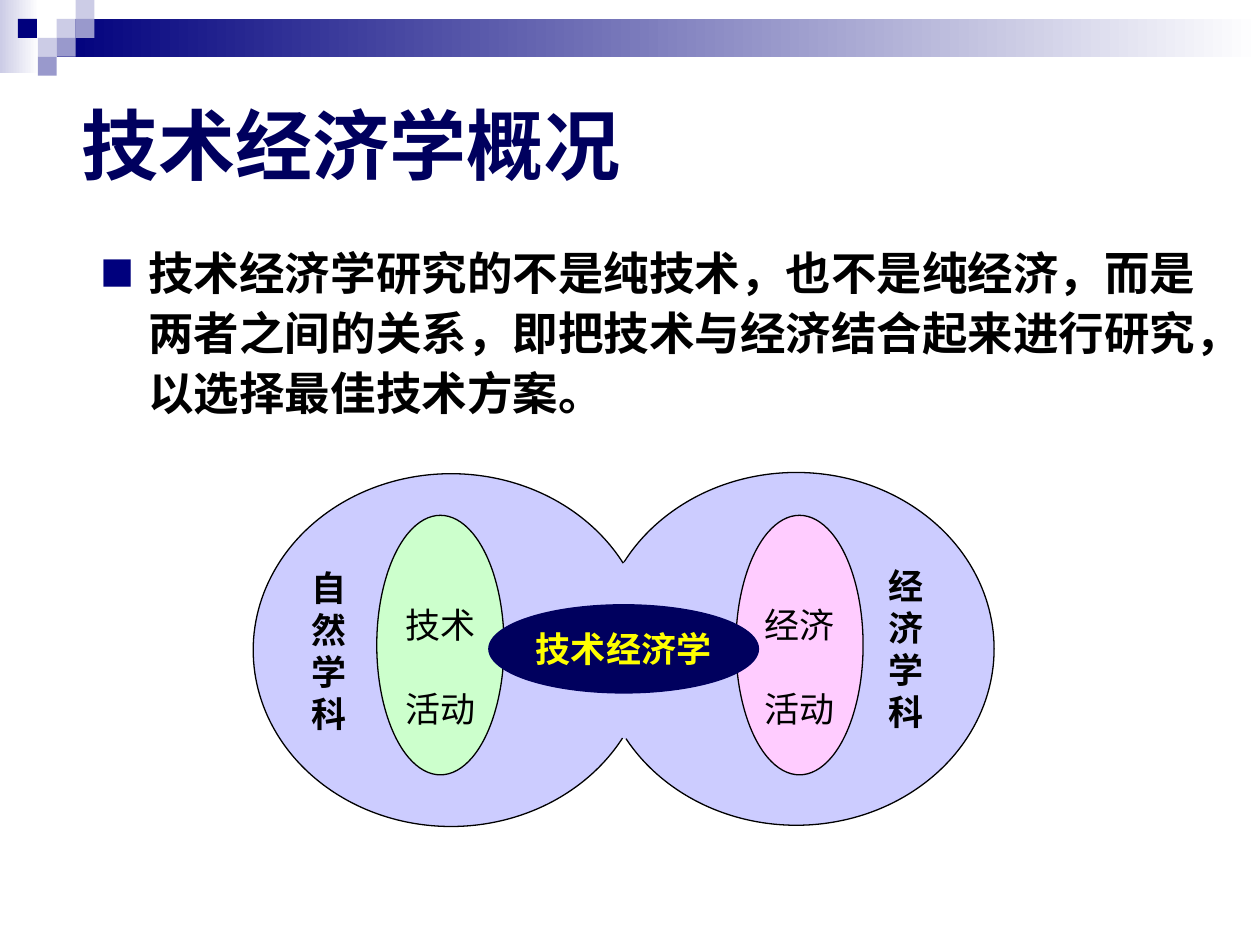
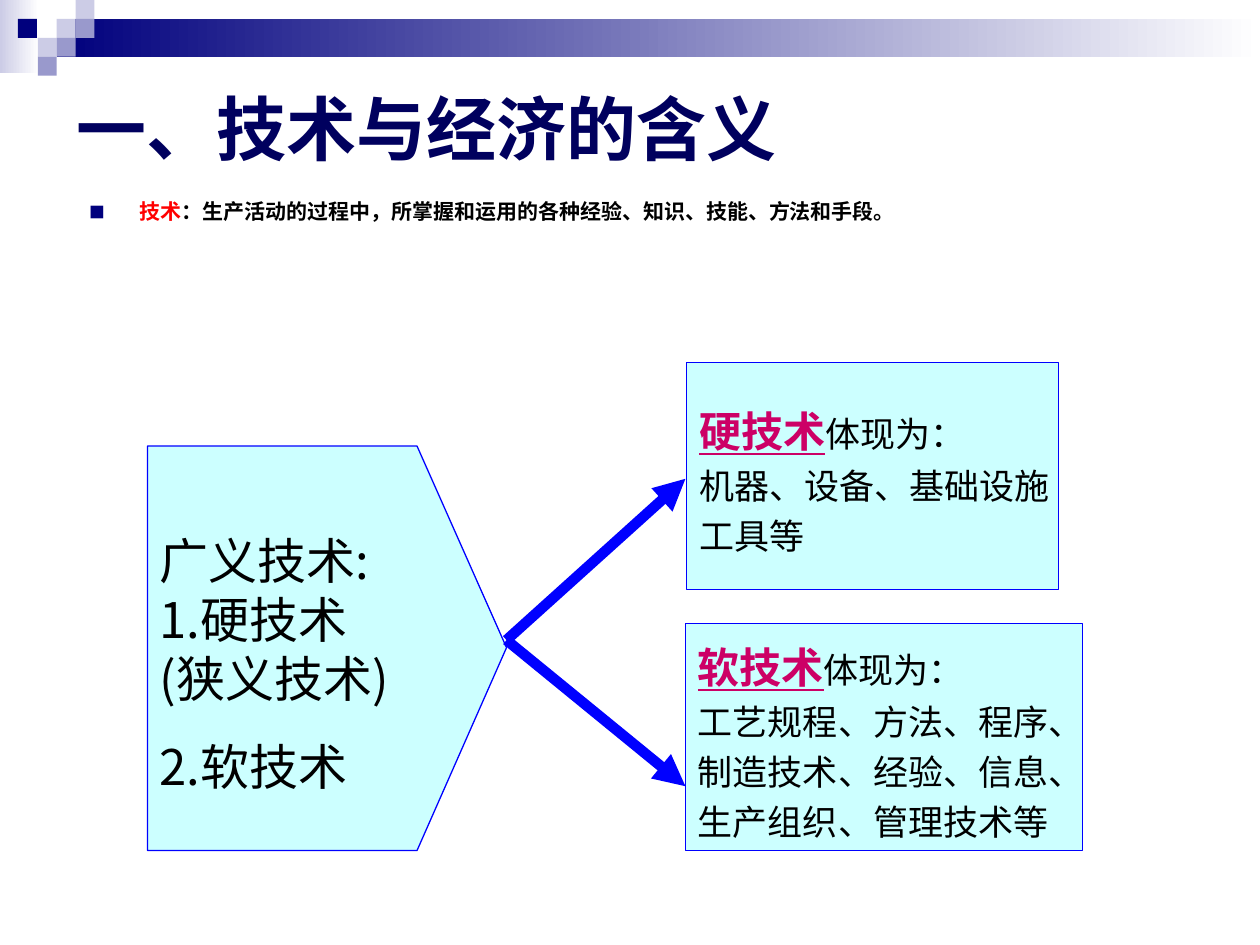
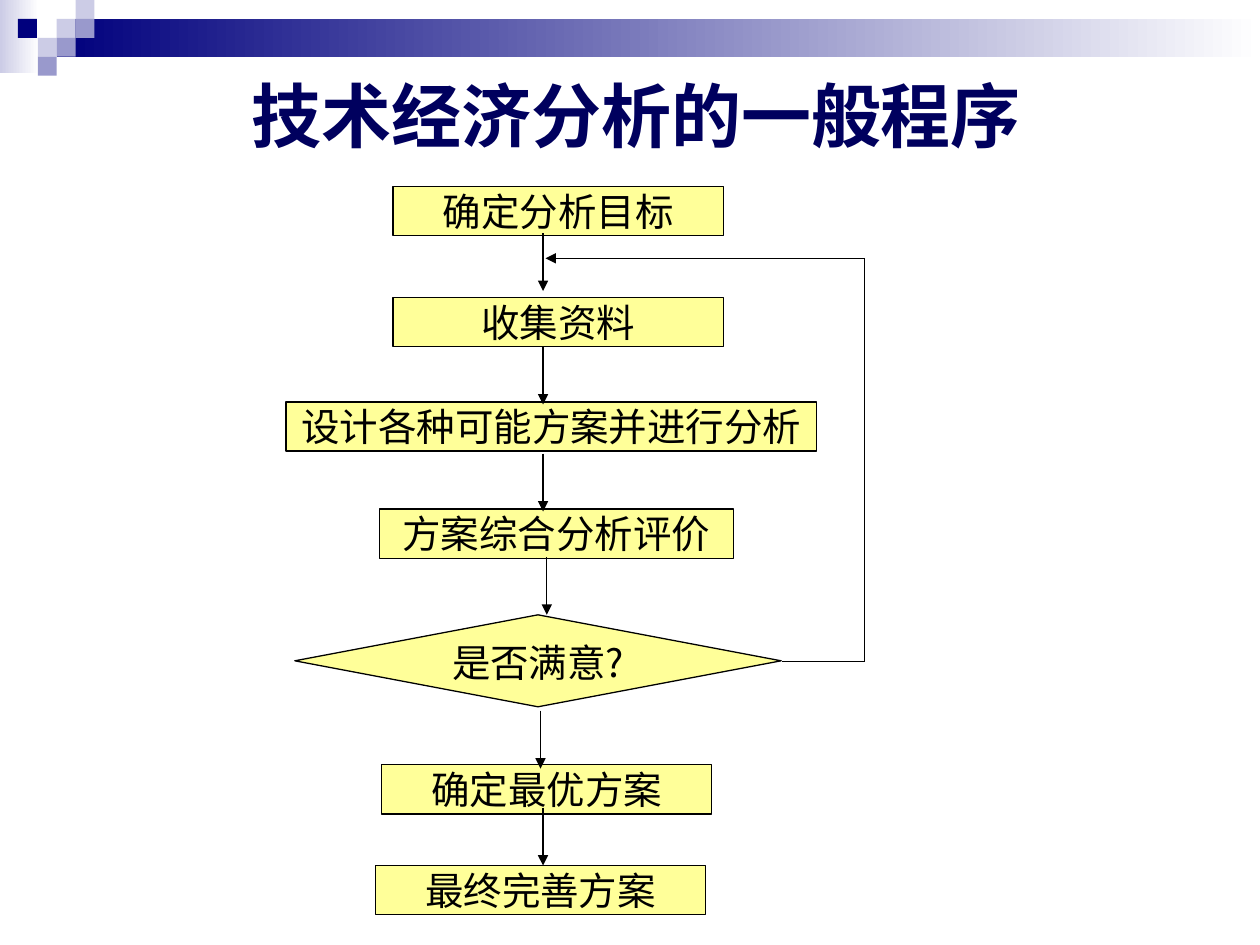
import lxml.etree
import pptx
import pptx.dml.color
import pptx.enum.dml
import pptx.enum.lang
import pptx.enum.shapes
import pptx.enum.text
import pptx.oxml.ns
import pptx.util
from dataclasses import dataclass

Pt = pptx.util.Pt
Shape = pptx.enum.shapes.MSO_SHAPE
Align = pptx.enum.text.PP_ALIGN
Anchor = pptx.enum.text.MSO_ANCHOR
qn = pptx.oxml.ns.qn

COLORS = {
    "navy": "00007D", "ink": "00005E", "haze": "CCCCE6", "slate": "9999CC",
    "white": "FFFFFF", "black": "000000", "lilac": "CCCCFF", "mint": "CCFFCC",
    "pink": "FFCCFF", "yellow": "FFFF00", "cream": "FFFF99", "aqua": "CCFFFF",
    "blue": "0000FF", "red": "FF0000", "magenta": "CC0066",
}
SANS, SERIF, CJK = "Arial", "Times New Roman", "Noto Sans CJK SC"

# The slide is a grid of 10 columns by 7.5 rows.
WIDTH, HEIGHT = pptx.util.Inches(10), pptx.util.Inches(7.5)
COL, ROW = WIDTH / 10, HEIGHT / 7.5


@dataclass
class Region:
    """A corner on the grid; parts are placed in columns and rows from it."""
    slide: object
    left: float
    top: float

    def point(self, x, y):
        return round((self.left + x) * COL), round((self.top + y) * ROW)

    def area(self, x, y, w, h):
        return (*self.point(x, y), round(w * COL), round(h * ROW))


def rgb(name):
    return pptx.dml.color.RGBColor.from_string(COLORS[name])


def add_xml(parent, tag, **attributes):
    return lxml.etree.SubElement(parent, qn(tag), attributes)


def set_all(target, values):
    for key, value in values.items():
        setattr(target, key, value)


def format_run(run, color="black", face=CJK, **values):
    set_all(run.font, {
        "name": face,
        "language_id": pptx.enum.lang.MSO_LANGUAGE_ID.SIMPLIFIED_CHINESE,
        **values})
    run.font.color.rgb = rgb(color)
    add_xml(run._r.get_or_add_rPr(), "a:ea", typeface=CJK)


def write(shape, paragraphs, font, layout=None, inset=(0.1, 0.05),
          anchor=Anchor.MIDDLE, wrap=False):
    """Each paragraph is a string, or a list of (text, font changes)."""
    frame = shape.text_frame
    across, down = (pptx.util.Inches(side) for side in inset)
    set_all(frame, {
        "auto_size": pptx.enum.text.MSO_AUTO_SIZE.NONE, "word_wrap": wrap,
        "vertical_anchor": anchor, "margin_left": across,
        "margin_right": across, "margin_top": down, "margin_bottom": down})
    for index, runs in enumerate(paragraphs):
        paragraph = frame.add_paragraph() if index else frame.paragraphs[0]
        set_all(paragraph, {"alignment": Align.LEFT, **(layout or {})})
        for text, changes in [(runs, {})] if isinstance(runs, str) else runs:
            run = paragraph.add_run()
            run.text = text
            format_run(run, **{**font, **changes})


def paint(shape, fill, line=None, width=0.75):
    shape.shadow.inherit = False
    shape.fill.solid()
    shape.fill.fore_color.rgb = rgb(fill)
    if line:
        shape.line.color.rgb = rgb(line)
        shape.line.width = Pt(width)
    else:
        shape.line.fill.background()
    return shape


def draw(region, kind, area, fill, line=None):
    shape = region.slide.shapes.add_shape(kind, *region.area(*area))
    return paint(shape, fill, line)


def outline(region, points, fill, line, width=0.75):
    start, *rest = [region.point(*point) for point in points]
    builder = region.slide.shapes.build_freeform(*start, scale=1.0)
    builder.add_line_segments(rest, close=True)
    return paint(builder.convert_to_shape(), fill, line, width)


def connect(region, start, end, color="black", width=0.75, arrow=True):
    line = region.slide.shapes.add_connector(
        pptx.enum.shapes.MSO_CONNECTOR.STRAIGHT,
        *region.point(*start), *region.point(*end))
    line.line.color.rgb = rgb(color)
    line.line.width = Pt(width)
    properties = line.element.spPr
    if arrow:
        add_xml(properties.find(qn("a:ln")), "a:tailEnd", type="triangle")
    add_xml(properties, "a:effectLst")


def fade(shape, color):
    shape.fill.gradient()
    shape.fill.gradient_angle = 0
    stops = zip(shape.fill.gradient_stops, (color, "white"), (0, 1))
    for stop, name, position in stops:
        stop.color.rgb = rgb(name)
        stop.position = position


def add_header_band(master, slide):
    """Draws the band on a slide, then moves it behind all on the master."""
    corner, tile = Region(slide, 0, 0), 0.15
    parts = []
    for area, color in [((0, 0, 0.31, 0.58), "haze"),
                        ((0.45, tile, 9.55, 0.3), "navy")]:
        parts.append(draw(corner, Shape.RECTANGLE, area, color))
        fade(parts[-1], color)
    for column, row, color in [
            (3, 1, "haze"), (4, 0, "haze"), (4, 1, "slate"), (2, 2, "haze"),
            (0.95, 1, "navy"), (3, 2, "slate"), (2, 3, "slate")]:
        area = (column * tile, row * tile, tile, tile)
        parts.append(draw(corner, Shape.RECTANGLE, area, color))
    for index, part in enumerate(parts):
        part.element.nvSpPr.cNvPr.set("id", str(100 + index))
        master.shapes.element.insert(2 + index, part.element)


def add_title(slide, text, area, size, alignment=Align.LEFT):
    title = slide.shapes.title
    places = Region(slide, 0, 0).area(*area)
    set_all(title, dict(zip(("left", "top", "width", "height"), places)))
    write(title, [text], {"face": SANS, "color": "ink", "size": Pt(size),
                          "bold": True},
          {"alignment": alignment}, wrap=True)


def add_bullet(slide, runs, area, size, indent, spacing, before, after):
    box = slide.shapes.add_textbox(*Region(slide, 0, 0).area(*area))
    write(box, [runs], {"face": SANS, "size": Pt(size), "bold": True},
          {"line_spacing": spacing, "space_before": Pt(before),
           "space_after": Pt(after)}, anchor=Anchor.TOP, wrap=True)
    properties = box.text_frame.paragraphs[0]._p.get_or_add_pPr()
    hang = pptx.util.Inches(indent)
    properties.set("marL", str(hang))
    properties.set("indent", str(-hang))
    add_xml(add_xml(properties, "a:buClr"), "a:srgbClr", val=COLORS["navy"])
    add_xml(properties, "a:buSzPct", val="75000")
    add_xml(properties, "a:buFont", typeface=CJK)
    add_xml(properties, "a:buChar", char="■")


def bezier(start, control1, control2, end, steps=24):
    points = []
    for step in range(steps + 1):
        t = step / steps
        weights = ((1 - t) ** 3, 3 * t * (1 - t) ** 2,
                   3 * t ** 2 * (1 - t), t ** 3)
        points.append(tuple(
            sum(w * p for w, p in zip(weights, axis))
            for axis in zip(start, control1, control2, end)))
    return points


def add_overlap_diagram(region):
    label = {"size": Pt(20)}
    for text, x, y, alignment, inset in [
            ("经济学科", 2.74, 0, Align.RIGHT, (0.1, 0.05)),
            ("自然学科", 0, 0.01, Align.LEFT, (0, 0))]:
        field = draw(region, Shape.OVAL, (x, y, 3.14, 2.8), "lilac", "black")
        write(field, list(text), {**label, "face": SANS, "bold": True},
              {"alignment": alignment}, inset)

    seam = bezier((2.98, 0.71), (3.27, 1.14), (3.26, 1.69), (2.95, 2.1))
    outline(region, [*seam, (1.97, 1.39)], "lilac", "lilac", 2.25)

    for subject, x, fill in [("技术", 0.98, "mint"), ("经济", 3.83, "pink")]:
        activity = draw(region, Shape.OVAL, (x, 0.34, 1.01, 2.06), fill, "black")
        write(activity, [subject, "活动"], label,
              {"alignment": Align.CENTER, "line_spacing": 2.0})

    core = draw(region, Shape.OVAL, (1.87, 1.05, 2.14, 0.7), "ink", "ink")
    write(core, ["技术经济学"], {**label, "color": "yellow", "bold": True},
          {"alignment": Align.CENTER})


def add_technology_diagram(region):
    broad = outline(region, [(0, 0.66), (2.14, 0.66), (2.85, 2.26),
                             (2.14, 3.87), (0, 3.87)], "aqua", "blue")
    write(broad, ["广义技术:", "1.硬技术", "(狭义技术)", "2.软技术"],
          {"size": Pt(28)})
    for index in (0, -1):
        broad.text_frame.paragraphs[index].line_spacing = 1.5

    term = {"size": Pt(24), "color": "magenta", "bold": True, "underline": True}
    for name, examples, area in [
            ("硬技术", ["机器、设备、基础设施", "工具等"],
             (4.28, 0, 2.95, 1.8)),
            ("软技术", ["工艺规程、方法、程序、", "制造技术、经验、信息、",
                     "生产组织、管理技术等"], (4.27, 2.07, 3.15, 1.8))]:
        card = draw(region, Shape.RECTANGLE, area, "aqua", "blue")
        write(card, [[(name, term), ("体现为：", {})], *examples],
              {"face": SERIF, "size": Pt(20)}, {"line_spacing": 1.2})
    for target in (0.92, 3.36):
        connect(region, (2.85, 2.2), (4.27, target), "blue", 6)


def add_procedure_flow(region):
    box, diamond = (Shape.RECTANGLE, 0.39), (Shape.DIAMOND, 0.73)
    for text, (kind, height), x, y, width in [
            ("确定分析目标", box, 0.85, 0, 2.62),
            ("收集资料", box, 0.85, 0.88, 2.62),
            ("设计各种可能方案并进行分析", box, 0, 1.71, 4.21),
            ("方案综合分析评价", box, 0.74, 2.56, 2.81),
            ("是否满意?", diamond, 0.07, 3.4, 3.86),
            ("确定最优方案", box, 0.76, 4.59, 2.62),
            ("最终完善方案", box, 0.71, 5.39, 2.62)]:
        step = draw(region, kind, (x, y, width, height), "cream", "black")
        write(step, [text], {"size": Pt(22)}, {"alignment": Align.CENTER},
              (0.02, 0.01), Anchor.TOP, True)
    for x, y in [(2.04, 0.37), (2.04, 1.27), (2.04, 2.12), (2.07, 2.94),
                 (2.02, 4.16), (2.04, 4.93)]:
        connect(region, (x, y), (x, y + 0.46))

    turn_low, turn_high = (4.59, 3.77), (4.59, 0.57)
    connect(region, (3.94, 3.77), turn_low, arrow=False)
    connect(region, turn_low, turn_high, arrow=False)
    connect(region, turn_high, (2.06, 0.57))


def main():
    deck = pptx.Presentation()
    deck.slide_width, deck.slide_height = WIDTH, HEIGHT
    title_only = deck.slide_layouts[5]
    overview, meaning, procedure = (
        deck.slides.add_slide(title_only) for _ in range(3))
    add_header_band(deck.slide_master, overview)

    add_title(overview, "技术经济学概况", (0.55, 0.39, 9, 1.5), 44)
    add_bullet(overview,
               "技术经济学研究的不是纯技术，也不是纯经济，而是两者之间的关系，"
               "即把技术与经济结合起来进行研究，以选择最佳技术方案。",
               (0.7, 1.85, 8.91, 1.82), 26, 0.38, 1.1, 6, 6)
    add_overlap_diagram(Region(overview, 2.01, 3.75))

    add_title(meaning, "一、技术与经济的含义", (0.51, 0.46, 9, 1.1), 40)
    add_bullet(meaning,
               [("技术", {"color": "red"}),
                ("：生产活动的过程中，所掌握和运用的各种经验、知识、技能、"
                 "方法和手段。", {})],
               (0.61, 1.55, 8.82, 1.09), 12, 0.4, 0.9, 7.5, 11.2)
    add_technology_diagram(Region(meaning, 1.17, 2.88))

    add_title(procedure, "技术经济分析的一般程序", (0.55, 0.16, 9, 1.5), 40,
              Align.CENTER)
    add_procedure_flow(Region(procedure, 2.27, 1.48))

    deck.save("out.pptx")


if __name__ == "__main__":
    main()
